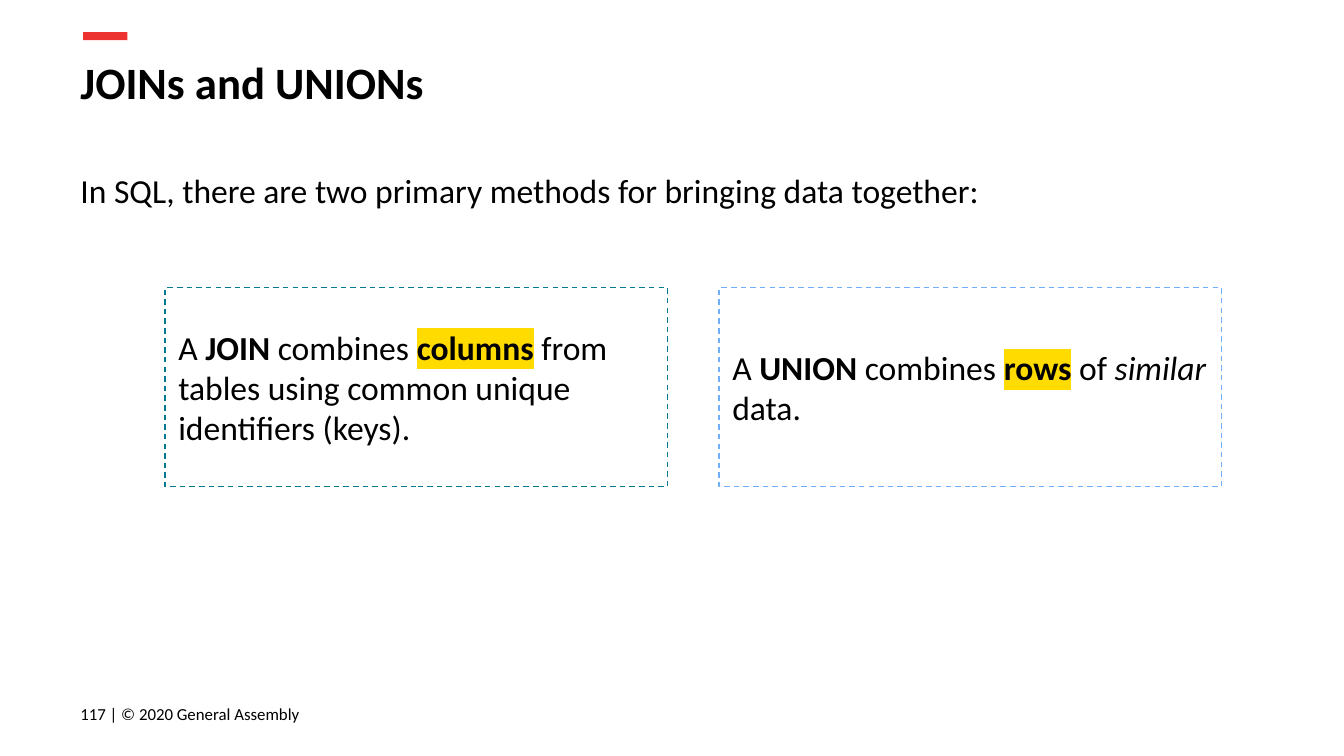
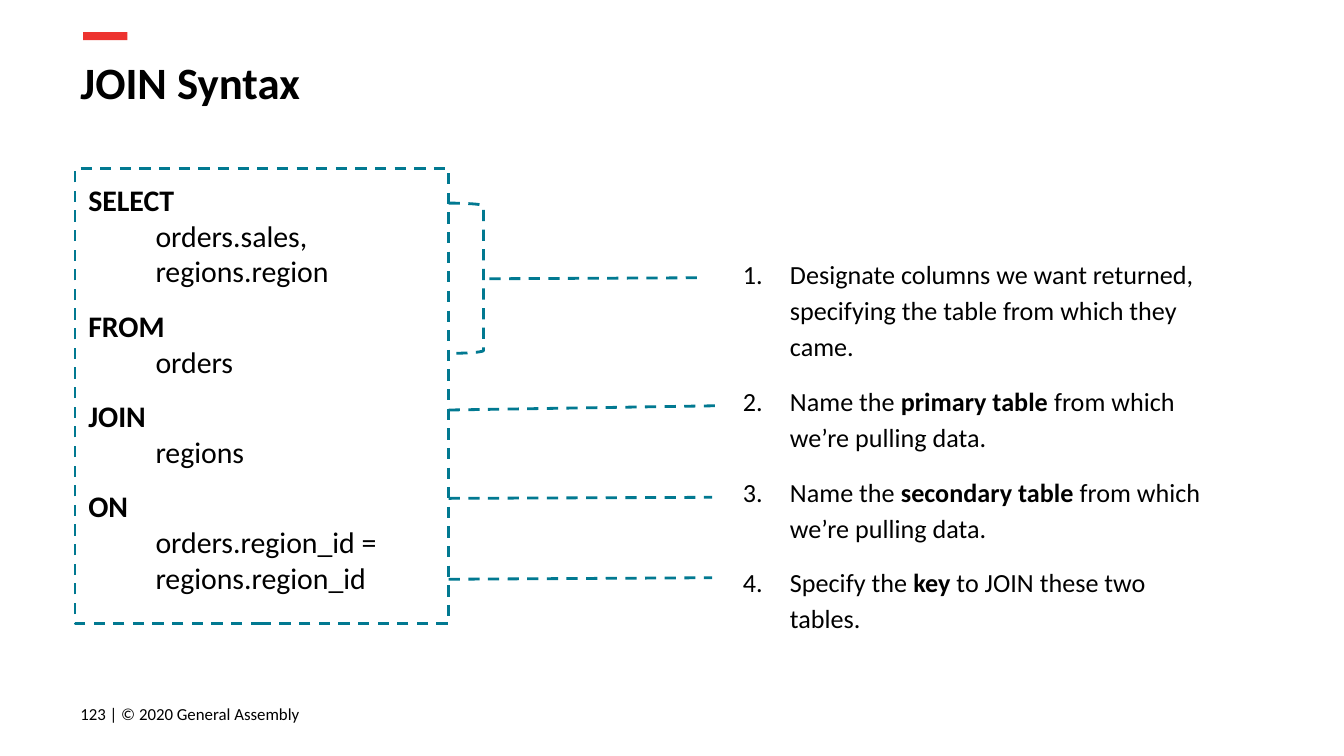
from lxml.etree import SubElement
from pptx import Presentation
from pptx.dml.color import RGBColor
from pptx.enum.dml import MSO_LINE
from pptx.enum.shapes import MSO_CONNECTOR, MSO_SHAPE
from pptx.enum.text import MSO_ANCHOR, MSO_AUTO_SIZE, PP_ALIGN
from pptx.oxml.ns import qn
from pptx.util import Cm, Pt

BLACK = RGBColor(0x00, 0x00, 0x00)
RED = RGBColor(0xED, 0x33, 0x2F)
TEAL = RGBColor(0x01, 0x79, 0x91)
BLUE = RGBColor(0x70, 0xB0, 0xFA)
YELLOW = RGBColor(0xFF, 0xDB, 0x00)
FONT = "Calibri"
INSET = Cm(0.25)


def prepare_frame(shape, anchor=MSO_ANCHOR.TOP):
    tf = shape.text_frame
    tf.word_wrap = True
    tf.auto_size = MSO_AUTO_SIZE.NONE
    tf.vertical_anchor = anchor
    tf.margin_left = tf.margin_right = INSET
    tf.margin_top = tf.margin_bottom = INSET
    return tf


def highlight(r):
    fill = r.font.fill._xPr.find(qn("a:solidFill"))
    mark = SubElement(r.font.fill._xPr, qn("a:highlight"))
    SubElement(mark, qn("a:srgbClr"), val=str(YELLOW))
    fill.addnext(mark)


def write_runs(p, runs, size):
    p.alignment = PP_ALIGN.LEFT
    for text, style in runs:
        r = p.add_run()
        r.text = text
        r.font.size = Pt(size)
        r.font.color.rgb = BLACK
        r.font.bold = "b" in style
        r.font.italic = "i" in style
        if "h" in style:
            highlight(r)
        r.font.name = FONT


def next_paragraph(tf, index):
    return tf.add_paragraph() if index else tf.paragraphs[0]


def indent(p, left, first=0):
    pPr = p._p.get_or_add_pPr()
    pPr.set("marL", str(Cm(left)))
    pPr.set("indent", str(Cm(first)))
    return pPr


def number(p):
    pPr = indent(p, 1.27, -0.89)
    color = SubElement(pPr, qn("a:buClr"))
    SubElement(color, qn("a:srgbClr"), val=str(BLACK))
    SubElement(pPr, qn("a:buFont"), typeface=FONT)
    SubElement(pPr, qn("a:buAutoNum"), type="arabicPeriod")


def dash_line(line, color, width):
    line.color.rgb = color
    line.width = Pt(width)
    line.dash_style = MSO_LINE.DASH


def add_text(s, left, top, width, height, runs, size, anchor=MSO_ANCHOR.TOP):
    box = s.shapes.add_textbox(Cm(left), Cm(top), Cm(width), Cm(height))
    write_runs(prepare_frame(box, anchor).paragraphs[0], runs, size)


def add_dashed_shape(s, kind, left, top, width, height, color, line_width):
    sp = s.shapes.add_shape(kind, Cm(left), Cm(top), Cm(width), Cm(height))
    sp.shadow.inherit = False
    sp.fill.background()
    dash_line(sp.line, color, line_width)
    return sp


def add_definition(s, left, color, runs):
    sp = add_dashed_shape(s, MSO_SHAPE.RECTANGLE, left, 5.44, 9.5, 3.76, color, 0.75)
    write_runs(prepare_frame(sp, MSO_ANCHOR.MIDDLE).paragraphs[0], runs, 18)


def add_query(s, clauses):
    sp = add_dashed_shape(s, MSO_SHAPE.RECTANGLE, 1.42, 3.18, 7.06, 8.61, TEAL, 1.5)
    tf = prepare_frame(sp)
    for i, (keyword, arguments) in enumerate(clauses):
        p = next_paragraph(tf, i)
        write_runs(p, [(keyword, "b")], 16)
        if i:
            p.space_before = Pt(10)
        for argument in arguments:
            p = tf.add_paragraph()
            indent(p, 1.27)
            write_runs(p, [(argument, "")], 16)


def add_steps(s, steps):
    box = s.shapes.add_textbox(Cm(13.41), Cm(4.55), Cm(9.55), Cm(7.87))
    tf = prepare_frame(box)
    for i, runs in enumerate(steps):
        p = next_paragraph(tf, i)
        number(p)
        p.line_spacing = 1.15
        if i:
            p.space_before = Pt(10)
        write_runs(p, runs, 14)


def add_leader(s, x1, y1, x2, y2):
    c = s.shapes.add_connector(MSO_CONNECTOR.STRAIGHT, Cm(x1), Cm(y1), Cm(x2), Cm(y2))
    dash_line(c.line, TEAL, 1.5)
    SubElement(c._element.spPr, qn("a:effectLst"))


def add_base_slide(prs, title, page):
    s = prs.slides.add_slide(prs.slide_layouts[5])
    accent = s.shapes.add_shape(MSO_SHAPE.RECTANGLE, Cm(1.57), Cm(0.61), Cm(0.84), Cm(0.15))
    accent.shadow.inherit = False
    accent.fill.solid()
    accent.fill.fore_color.rgb = RED
    accent.line.fill.background()

    heading = s.shapes.title
    heading.left, heading.top = Cm(1.27), Cm(0.79)
    heading.width, heading.height = Cm(23.67), Cm(1.6)
    write_runs(prepare_frame(heading).paragraphs[0], [(title, "b")], 24)

    footer = f"{page} | © 2020 General Assembly"
    add_text(s, 1.27, 12.95, 6.58, 1.09, [(footer, "")], 9, MSO_ANCHOR.MIDDLE)
    return s


def build_overview(prs):
    s = add_base_slide(prs, "JOINs and UNIONs", 117)
    intro = "In SQL, there are two primary methods for bringing data together:"
    add_text(s, 1.27, 2.97, 22.15, 1.75, [(intro, "")], 18)
    add_definition(s, 3.12, TEAL, [
        ("A ", ""), ("JOIN", "b"), (" combines ", ""), ("columns", "bh"),
        (" from tables using common unique identifiers (keys).", ""),
    ])
    add_definition(s, 13.59, BLUE, [
        ("A ", ""), ("UNION", "b"), (" combines ", ""), ("rows", "bh"),
        (" of ", ""), ("similar", "i"), (" data.", ""),
    ])


def build_syntax(prs):
    s = add_base_slide(prs, "JOIN Syntax", 123)
    add_query(s, [
        ("SELECT", ["orders.sales,", "regions.region"]),
        ("FROM", ["orders"]),
        ("JOIN", ["regions"]),
        ("ON", ["orders.region_id = regions.region_id"]),
    ])
    bracket = add_dashed_shape(s, MSO_SHAPE.RIGHT_BRACKET, 8.48, 3.84, 0.66, 2.84, TEAL, 1.5)
    bracket.adjustments[0] = 0.08
    for ends in [
        (9.25, 5.27, 13.26, 5.25),
        (8.48, 7.75, 13.51, 7.67),
        (8.48, 9.42, 13.46, 9.4),
        (8.48, 10.95, 13.46, 10.92),
    ]:
        add_leader(s, *ends)
    pulling = (" from which we’re pulling data.", "")
    add_steps(s, [
        [("Designate columns we want returned, specifying the table from which they came.", "")],
        [("Name the ", ""), ("primary table", "b"), pulling],
        [("Name the ", ""), ("secondary table", "b"), pulling],
        [("Specify the ", ""), ("key", "b"), (" to JOIN these two tables.", "")],
    ])


def main():
    prs = Presentation()
    prs.slide_width, prs.slide_height = Cm(25.4), Cm(14.29)
    build_overview(prs)
    build_syntax(prs)
    prs.save("out.pptx")


if __name__ == "__main__":
    main()
